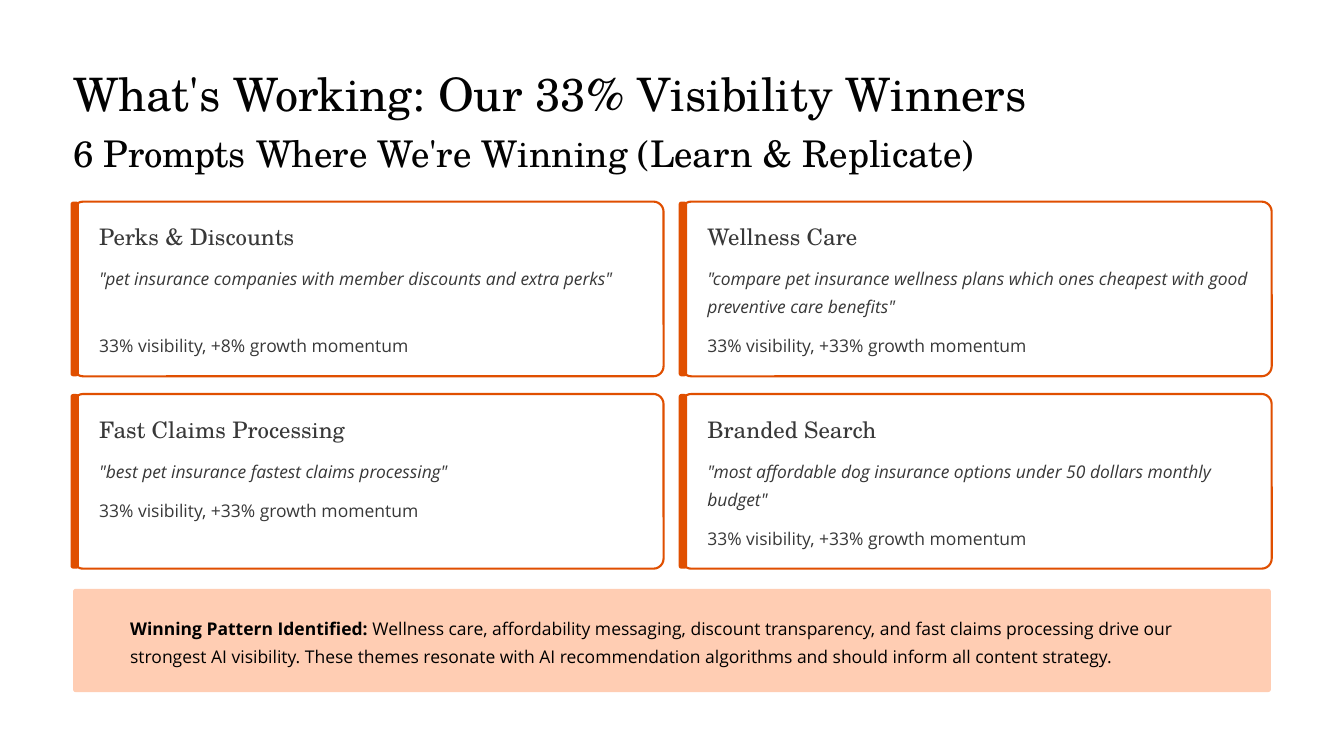
from pptx import Presentation
from pptx.dml.color import RGBColor
from pptx.enum.shapes import MSO_SHAPE
from pptx.enum.text import MSO_ANCHOR, MSO_AUTO_SIZE, PP_ALIGN
from pptx.util import Inches, Pt

COLORS = {"page": "FFFFFF", "heading": "020202", "body": "383838",
          "accent": "E04F00", "banner": "FFCDB3", "banner_text": "000000"}
SERIF, SANS = "TeX Gyre Schola", "Open Sans"

# Card grid, in inches
LEFT, TOP = 0.87, 2.4
CARD_WIDTH, CARD_HEIGHT = 7.03, 2.08
COLUMN_STEP, ROW_STEP = 7.24, 2.29
PADDING, LINE_HEIGHT, GAP = 0.31, 0.335, 0.13

# Name, prompt, result, lines kept for the prompt
CARDS = [
    ("Perks & Discounts",
     '"pet insurance companies with member discounts and extra perks"',
     "33% visibility, +8% growth momentum", 2),
    ("Wellness Care",
     '"compare pet insurance wellness plans which ones cheapest with good preventive care benefits"',
     "33% visibility, +33% growth momentum", 2),
    ("Fast Claims Processing",
     '"best pet insurance fastest claims processing"',
     "33% visibility, +33% growth momentum", 1),
    ("Branded Search",
     '"most affordable dog insurance options under 50 dollars monthly budget"',
     "33% visibility, +33% growth momentum", 2),
]


def color(name):
    return RGBColor.from_string(COLORS[name])


def write(box, spans, font, size, spacing, ink, wrap=False):
    """Fill a box with one paragraph of (text, bold, italic) spans."""
    frame = box.text_frame
    frame.margin_left = frame.margin_right = 0
    frame.margin_top = frame.margin_bottom = 0
    frame.auto_size = MSO_AUTO_SIZE.NONE
    frame.vertical_anchor = MSO_ANCHOR.TOP
    frame.word_wrap = wrap
    para = frame.paragraphs[0]
    para.alignment = PP_ALIGN.LEFT
    para.line_spacing = Pt(spacing)
    for text, bold, italic in spans:
        span = para.add_run()
        span.text = text
        span.font.name, span.font.size = font, Pt(size)
        span.font.bold, span.font.italic = bold, italic
        span.font.color.rgb = color(ink)


def add_text(page, area, *args, **options):
    box = page.shapes.add_textbox(*map(Inches, area))
    write(box, *args, **options)


def add_panel(page, area, corner, fill, outline=None):
    panel = page.shapes.add_shape(MSO_SHAPE.ROUNDED_RECTANGLE, *map(Inches, area))
    panel.adjustments[0] = corner
    panel.shadow.inherit = False
    panel.fill.solid()
    panel.fill.fore_color.rgb = color(fill)
    if outline:
        panel.line.color.rgb = color(outline)
        panel.line.width = Pt(1.8)
    else:
        panel.line.fill.background()


def add_card(page, left, top, name, prompt, result, prompt_lines):
    # Frame and accent bar
    add_panel(page, (left, top, CARD_WIDTH, CARD_HEIGHT), 0.058, "page", "accent")
    add_panel(page, (left - 0.03, top, 0.1, CARD_HEIGHT), 0.316, "accent")

    # Name, prompt and result
    text_left, text_width = left + PADDING, 6.48
    prompt_top, prompt_height = top + 0.71, prompt_lines * LINE_HEIGHT
    result_top = prompt_top + prompt_height + GAP
    add_text(page, (text_left, top + 0.24, 2.8, 0.35),
             [(name, False, False)], SERIF, 19.5, 24.5, "body")
    add_text(page, (text_left, prompt_top, text_width, prompt_height),
             [(prompt, False, True)], SANS, 15, 24, "body", wrap=True)
    add_text(page, (text_left, result_top, text_width, LINE_HEIGHT),
             [(result, False, False)], SANS, 15, 24, "body")


def add_headings(page):
    # The title is wide enough to stay on one line
    title = page.shapes.title
    title.left, title.top = Inches(LEFT), Inches(0.75)
    title.width, title.height = Inches(12), Inches(0.69)
    write(title, [("What's Working: Our 33% Visibility Winners", False, False)],
          SERIF, 39.5, 49.5, "heading")
    add_text(page, (LEFT, 1.53, 10.35, 0.55),
             [("6 Prompts Where We're Winning (Learn & Replicate)", False, False)],
             SERIF, 31.5, 39.5, "heading")


def add_banner(page):
    add_panel(page, (LEFT, 7.01, 14.26, 1.23), 0.026, "banner")
    add_text(page, (1.55, 7.28, 13.37, 2 * LINE_HEIGHT),
             [("Winning Pattern Identified:", True, False),
              (" Wellness care, affordability messaging, discount transparency, "
               "and fast claims processing drive our strongest AI visibility. "
               "These themes resonate with AI recommendation algorithms and "
               "should inform all content strategy.", False, False)],
             SANS, 15, 24, "banner_text", wrap=True)


def main():
    deck = Presentation()
    deck.slide_width, deck.slide_height = Inches(16), Inches(9)
    page = deck.slides.add_slide(deck.slide_layouts[5])
    page.background.fill.solid()
    page.background.fill.fore_color.rgb = color("page")

    add_headings(page)
    for index, card in enumerate(CARDS):
        row, column = divmod(index, 2)
        add_card(page, LEFT + column * COLUMN_STEP, TOP + row * ROW_STEP, *card)
    add_banner(page)
    deck.save("out.pptx")


if __name__ == "__main__":
    main()
